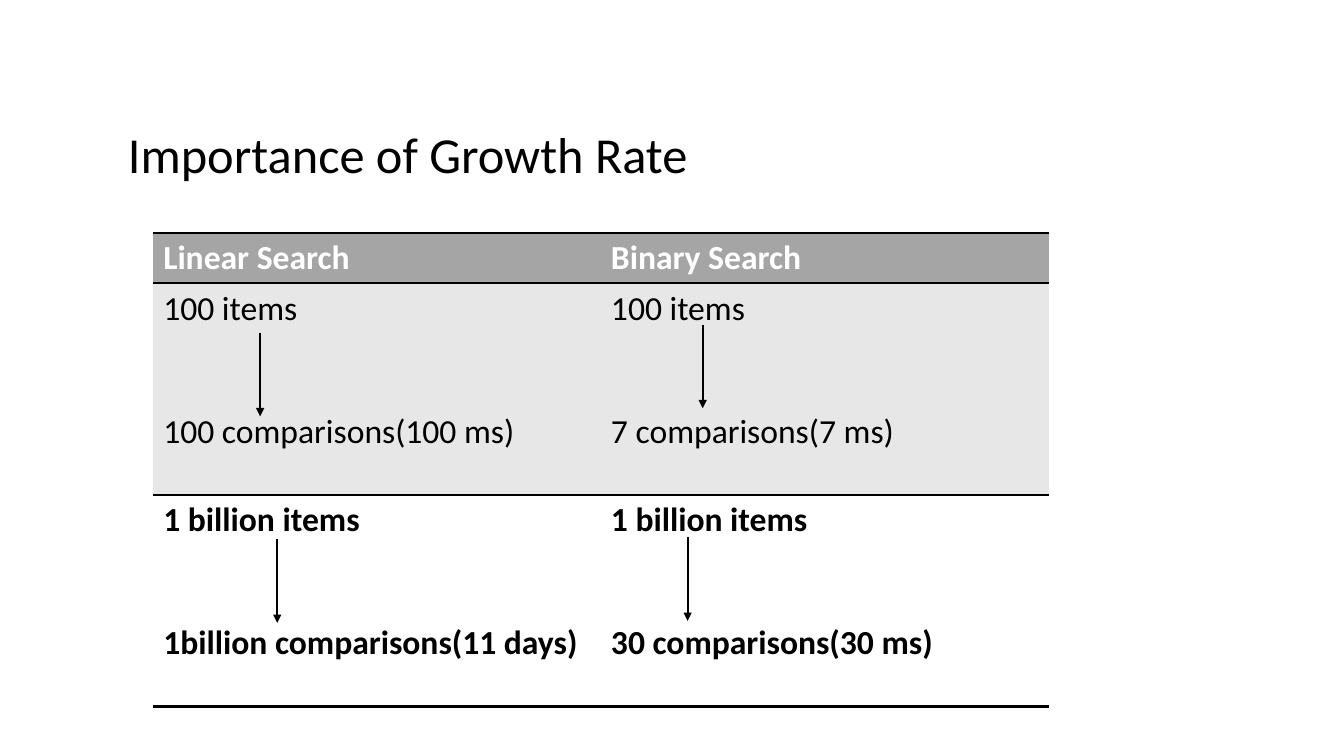
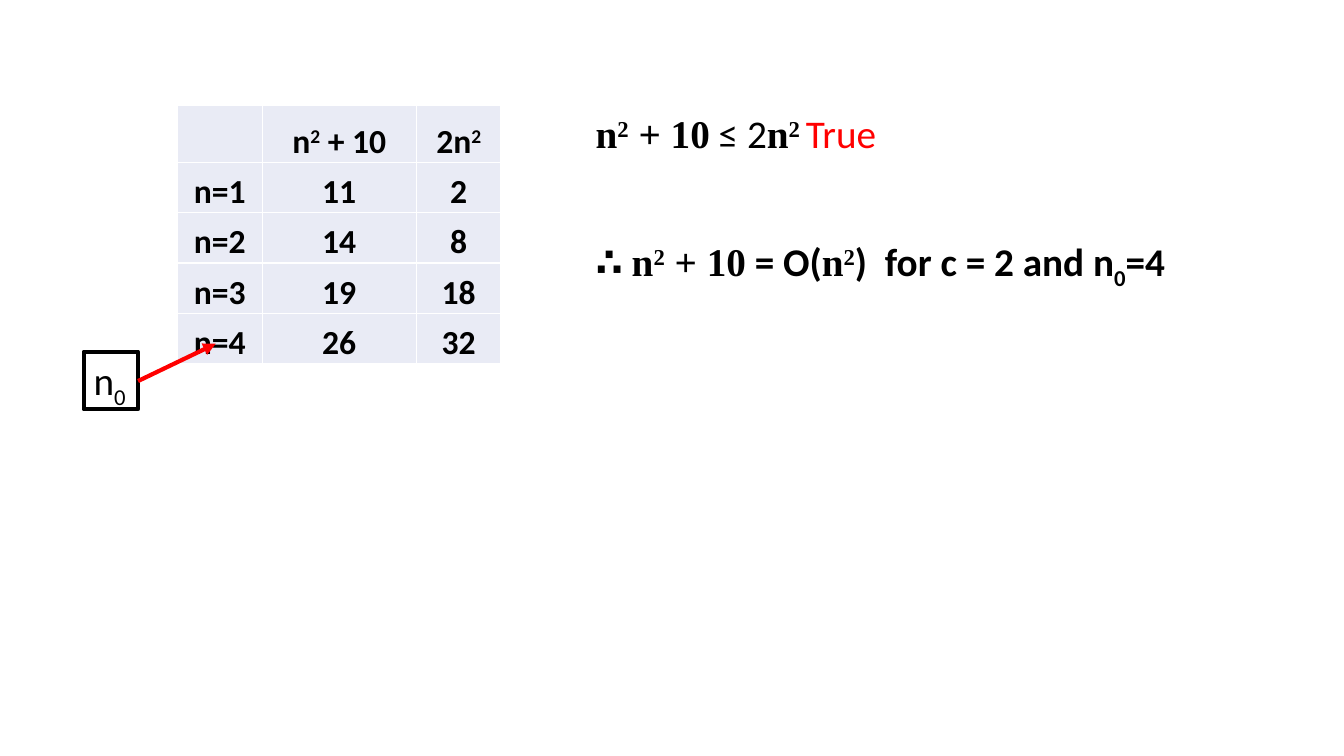
from lxml import etree
from pptx import Presentation
from pptx import util as u
from pptx.dml.color import RGBColor
from pptx.enum import shapes, text
from pptx.oxml import ns

BLACK = RGBColor(0x00, 0x00, 0x00)
WHITE = RGBColor(0xFF, 0xFF, 0xFF)
RED = RGBColor(0xFF, 0x00, 0x00)
HEADER = RGBColor(0xA5, 0xA5, 0xA5)
BAND = RGBColor(0xE7, 0xE7, 0xE7)
PALE = RGBColor(0xE9, 0xEB, 0xF5)

NO_STYLE = "{2D5ABB26-0587-4C30-8999-92F81FD0307C}"
SUPER, SUB = 30, -25
SERIF = {"font": "Times New Roman", "bold": True}
SERIF_SUP = {**SERIF, "base": SUPER}
BOLD = {"bold": True}


class Deck:
    font = "Calibri"

    def __init__(self):
        self.prs = Presentation()
        self.prs.slide_width = u.Inches(13.33)
        self.prs.slide_height = u.Inches(7.5)
        self.s = None

    def slide(self):
        self.s = self.prs.slides.add_slide(self.prs.slide_layouts[6])

    def runs(self, p, parts, size, color=BLACK, bold=False):
        for words, style in parts:
            r = p.add_run()
            r.text = words
            r.font.name = style.get("font", self.font)
            r.font.size = u.Pt(size)
            r.font.bold = style.get("bold", bold)
            r.font.color.rgb = style.get("color", color)
            if "base" in style:
                r._r.get_or_add_rPr().set("baseline", str(style["base"] * 1000))

    def text(self, x, y, w, h, parts, size=28):
        sp = self.s.shapes.add_textbox(*map(u.Inches, (x, y, w, h)))
        tf = sp.text_frame
        tf.word_wrap = False
        tf.auto_size = text.MSO_AUTO_SIZE.SHAPE_TO_FIT_TEXT
        self.runs(tf.paragraphs[0], parts, size)
        return sp

    def title(self, words):
        self.text(1.17, 1.17, 5.81, 0.71, [(words, {})], 36)

    def framed(self, x, y, w, h, parts):
        sp = self.text(x, y, w, h, parts)
        sp.line.color.rgb = BLACK
        sp.line.width = u.Pt(3)

    def arrow(self, x1, y1, x2, y2, color=BLACK, width=1.5):
        c = self.s.shapes.add_connector(
            shapes.MSO_CONNECTOR.STRAIGHT, *map(u.Inches, (x1, y1, x2, y2)))
        c.line.color.rgb = color
        c.line.width = u.Pt(width)
        tail = etree.SubElement(c.line._get_or_add_ln(), ns.qn("a:tailEnd"))
        tail.set("type", "triangle")
        etree.SubElement(c._element.spPr, ns.qn("a:effectLst"))

    def table(self, x, y, widths, heights):
        frame = self.s.shapes.add_table(
            len(heights), len(widths),
            *map(u.Inches, (x, y, sum(widths), sum(heights))))
        table = frame.table
        table.first_row = table.horz_banding = False
        table._tbl.tblPr.find(ns.qn("a:tableStyleId")).text = NO_STYLE
        for col, w in zip(table.columns, widths):
            col.width = u.Inches(w)
        for row, h in zip(table.rows, heights):
            row.height = u.Inches(h)
        return table

    def cell(self, cell, fill, sides, color, width):
        cell.fill.solid()
        cell.fill.fore_color.rgb = fill
        tcPr = cell._tc.get_or_add_tcPr()
        for i, side in enumerate(sides):
            ln = etree.Element(ns.qn("a:ln" + side), w=str(u.Pt(width)))
            solid = etree.SubElement(ln, ns.qn("a:solidFill"))
            etree.SubElement(solid, ns.qn("a:srgbClr"), val=str(color))
            tcPr.insert(i, ln)


def growth_slide(d):
    d.slide()
    d.title("Importance of Growth Rate")
    rows = [
        (HEADER, "TB", WHITE, True, [["Linear Search"], ["Binary Search"]]),
        (BAND, "T", BLACK, False, [["100 items", "100 comparisons(100 ms)"],
                                   ["100 items", "7 comparisons(7 ms)"]]),
        (WHITE, "B", BLACK, True,
         [["1 billion items", "1billion comparisons(11 days)"],
          ["1 billion items", "30 comparisons(30 ms)"]]),
    ]
    table = d.table(1.52, 2.31, [4.44] * 2, [0.5, 2.1, 2.1])
    for row, (fill, sides, color, bold, cells) in zip(table.rows, rows):
        for cell, lines in zip(row.cells, cells):
            d.cell(cell, fill, sides, BLACK, 2)
            tf = cell.text_frame
            for i, line in enumerate(lines):
                p = tf.add_paragraph() if i else tf.paragraphs[0]
                if i:
                    p.space_before = u.Pt(58.5)
                d.runs(p, [(line, {})], 24, color, bold)
    for x, y in [(2.58, 3.3), (6.97, 3.22), (2.75, 5.35), (6.82, 5.33)]:
        d.arrow(x, y, x, y + 0.83)


def big_o_slide(d):
    d.slide()
    sup = {"base": SUPER}
    values = [(11, 2), (14, 8), (19, 18), (26, 32)]
    rows = [[[], [("n", {}), ("2", sup), (" + 10", {})],
             [("2n", {}), ("2", sup)]]]
    for n, pair in enumerate(values, 1):
        rows.append([[(str(v), {})] for v in (f"n={n}", *pair)])
    table = d.table(1.76, 1.05, [0.84, 1.53, 0.84], [0.56] + [0.5] * 4)
    for row, cells in zip(table.rows, rows):
        for cell, parts in zip(row.cells, cells):
            d.cell(cell, PALE, "LRTB", WHITE, 1)
            cell.vertical_anchor = text.MSO_ANCHOR.BOTTOM
            cell.margin_left = cell.margin_right = u.Inches(0.01)
            cell.margin_top = u.Inches(0.01)
            cell.margin_bottom = 0
            p = cell.text_frame.paragraphs[0]
            p.alignment = text.PP_ALIGN.CENTER
            d.runs(p, parts, 24, bold=True)
    d.framed(0.83, 3.49, 0.54, 0.57, [("n", {}), ("0", {"base": SUB})])
    d.arrow(1.37, 3.78, 2.14, 3.41, RED, 3)
    polynomial = [("n", SERIF), ("2", SERIF_SUP), (" + 10", SERIF)]
    d.text(5.81, 1.04, 3.09, 0.57, polynomial + [
        (" ≤ 2", {}), ("n", SERIF), ("2 ", SERIF_SUP),
        ("True", {"color": RED})])
    d.text(5.81, 2.31, 5.97, 0.57, [("∴ ", BOLD)] + polynomial + [
        (" = O(", BOLD), ("n", SERIF), ("2", SERIF_SUP),
        (")  for c = 2 and n", BOLD), ("0", {**BOLD, "base": SUB}),
        ("=4", BOLD)])


def main():
    d = Deck()
    growth_slide(d)
    big_o_slide(d)
    d.prs.save("out.pptx")


if __name__ == "__main__":
    main()
